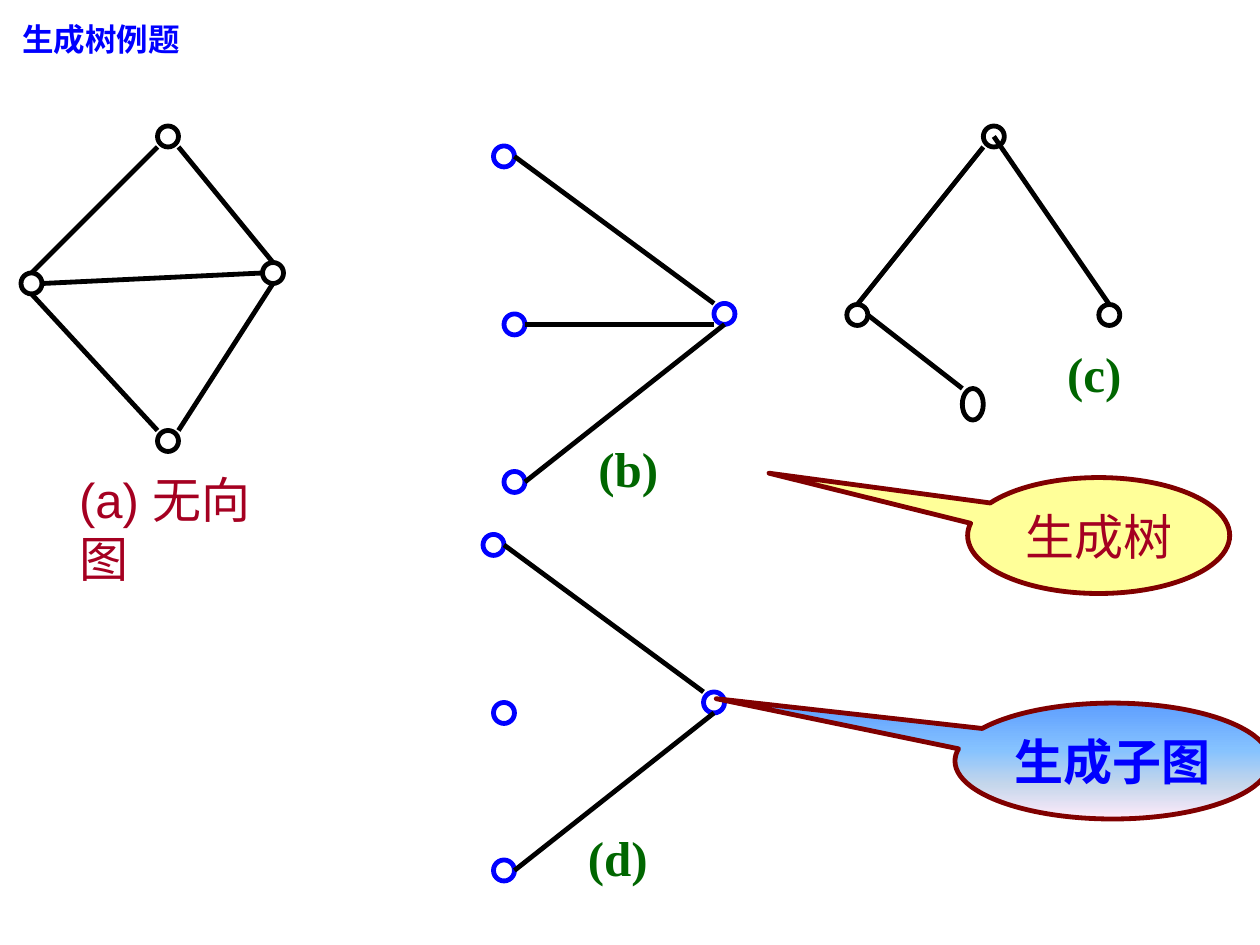
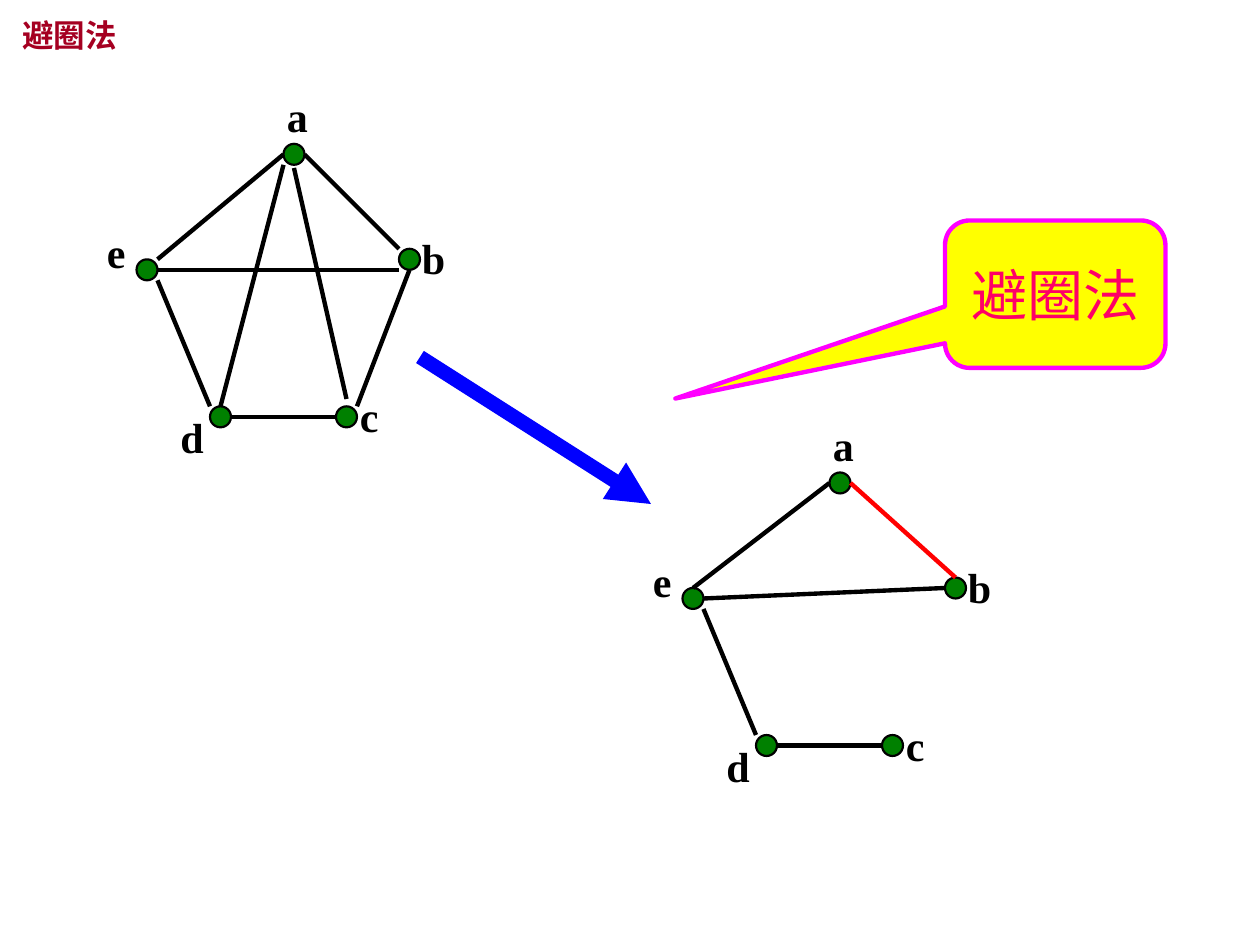
from lxml import etree
from pptx import Presentation
from pptx.dml.color import RGBColor
from pptx.enum.shapes import MSO_CONNECTOR, MSO_SHAPE
from pptx.enum.text import MSO_ANCHOR, PP_ALIGN
from pptx.oxml.ns import qn
from pptx.util import Inches, Pt

OVAL = MSO_SHAPE.OVAL
BUBBLE = MSO_SHAPE.OVAL_CALLOUT
BOX = MSO_SHAPE.ROUNDED_RECTANGULAR_CALLOUT
LINE = MSO_CONNECTOR.STRAIGHT
MID = MSO_ANCHOR.MIDDLE
CENTER = PP_ALIGN.CENTER

CELL = 1 / 12  # grid step in inches; a node has a radius of one step
SANS, SERIF, HAN = "Arial", "Times New Roman", "Noto Sans CJK SC"
COLORS = {
    "black": "000000", "blue": "0000FF", "red": "FF0000", "crimson": "A50021",
    "maroon": "800000", "forest": "006600", "green": "008000",
    "cream": "FFFF99", "yellow": "FFFF00", "magenta": "FF00FF",
    "pink": "FF0066",
}
SKY = [(0, "5E9EFF"), (40, "85C2FF"), (70, "C4D6EB"), (100, "FFEBFA")]
SIDES = {
    "c": (0, 0), "n": (0, -1), "s": (0, 1), "w": (-1, 0), "e": (1, 0),
    "nw": (-1, -1), "ne": (1, -1), "sw": (-1, 1), "se": (1, 1),
}

# Nodes: column and row from the graph's origin, and height factor if tall
KITE = {"T": (13, 0), "L": (0, 14), "R": (23, 13), "B": (13, 29)}
KITE_EDGES = "L.n-T.sw L.s-B.nw L.e-R.w T.se-R.n B.ne-R.s"
FAN = {"T": (0, 0), "M": (1, 16), "B": (1, 31), "R": (21, 15)}
FAN_EDGES = "T.e-R.nw B.e-R.s"
PATH = {"T": (13, 0), "L": (0, 17), "R": (24, 17), "B": (11, 25.5, 1.5)}
PATH_EDGES = "L.n-T.sw L.e-B.nw T.c-R.n"
PENTA = {"a": (0, 0), "b": (11, 10), "c": (5, 25), "d": (-7, 25),
         "e": (-14, 11)}
PENTA_EDGES = "e.ne-a.w e.se-d.nw d.e-c.w c.ne-b.s a.e-b.nw e.e-b.sw a.sw-d.n"
TREE_EDGES = "a.w-e.n e.e-b.w e.se-d.nw d.e-c.w"
# Letter boxes: shift from the node in steps, width in inches
LETTERS = {"a": (-1.85, -6.65, 0.36), "b": (0, -3.1, 0.42),
           "c": (0.1, -3.1, 0.74), "d": (-5, -1.05, 0.38),
           "e": (-5, -4.7, 0.35)}


def rgb(name):
    return RGBColor.from_string(COLORS[name])


def grid(*steps):
    return [Inches(step * CELL) for step in steps]


def write(frame, text, size, color, font, bold=False):
    frame.word_wrap = True
    par = frame.paragraphs[0]
    par.text = text
    par.font.size, par.font.bold, par.font.name = Pt(size), bold, font
    par.font.color.rgb = rgb(color)
    props = par._p.pPr.find(qn("a:defRPr"))
    props.find(qn("a:latin")).addnext(
        etree.Element(qn("a:ea"), typeface=HAN))
    return par


def label(slide, text, left, top, width, size, color, font, bold=True):
    box = slide.shapes.add_textbox(
        Inches(left), Inches(top), Inches(width), Inches(0.5))
    write(box.text_frame, text, size, color, font, bold)


def title(slide, text, top, color):
    label(slide, text, 0.08, top, 3, 18, color, HAN)


def line(slide, start, end, color, width, arrow=False):
    """Draw a straight line between two grid points."""
    link = slide.shapes.add_connector(LINE, *grid(*start, *end))
    link.line.color.rgb = rgb(color)
    link.line.width = Pt(width)
    props = link._element.spPr
    if arrow:
        etree.SubElement(props.find(qn("a:ln")), qn("a:tailEnd"),
                         type="triangle")
    etree.SubElement(props, qn("a:effectLst"))


def style(shape, fill, color, width):
    shape.shadow.inherit = False
    shape.line.color.rgb = rgb(color)
    shape.line.width = Pt(width)
    if fill is None:
        shape.fill.background()
    elif isinstance(fill, list):
        blend(shape, fill)
    else:
        shape.fill.solid()
        shape.fill.fore_color.rgb = rgb(fill)


def blend(shape, stops):
    """Fill from top to bottom with the given (percent, hex) stops."""
    shape.fill.gradient()
    shape.fill.gradient_angle = 270
    row = shape._element.spPr.find(".//" + qn("a:gsLst"))
    for old in list(row):
        row.remove(old)
    for share, tone in stops:
        stop = etree.SubElement(row, qn("a:gs"), pos=str(share * 1000))
        etree.SubElement(stop, qn("a:srgbClr"), val=tone)


def node(slide, col, row, tall, fill, color, width):
    dot = slide.shapes.add_shape(
        OVAL, *grid(col - 1, row - tall, 2, 2 * tall))
    style(dot, fill, color, width)


def edges(slide, origin, nodes, links, color, width):
    """Draw links such as 'L.n-T.sw': node and side at each end."""
    def spot(end):
        name, side = end.split(".")
        col, row, *tall = nodes[name]
        across, down = SIDES[side]
        return (origin[0] + col + across,
                origin[1] + row + down * (tall[0] if tall else 1))

    for link in links.split():
        start, end = link.split("-")
        line(slide, spot(start), spot(end), color, width)


def graph(slide, origin, nodes, links, color="black", fill=None, ring=2.75,
          width=2.75):
    for col, row, *tall in nodes.values():
        node(slide, origin[0] + col, origin[1] + row,
             tall[0] if tall else 1, fill, color, ring)
    edges(slide, origin, nodes, links, "black", width)


def penta(slide, origin, links):
    """Draw the five lettered nodes with their links."""
    graph(slide, origin, PENTA, links, fill="green", ring=1.25, width=2.5)
    for name, (across, down, width) in LETTERS.items():
        col, row = PENTA[name]
        label(slide, name, (origin[0] + col + across) * CELL,
              (origin[1] + row + down) * CELL, width, 24, "black", SERIF)


def fan(slide, origin, links, name):
    graph(slide, origin, FAN, links, color="blue")
    label(slide, name, (origin[0] + 7.8) * CELL, (origin[1] + 26.3) * CELL,
          0.69, 28, "forest", SERIF)


def callout(slide, kind, place, tip, fill, edge, width, text, *font):
    shape = slide.shapes.add_shape(kind, *map(Inches, place))
    for spot, value in enumerate(tip):
        shape.adjustments[spot] = value
    style(shape, fill, edge, width)
    shape.text_frame.vertical_anchor = MID
    write(shape.text_frame, text, *font).alignment = CENTER


def trees(slide):
    title(slide, "生成树例题", 0.11, "blue")
    graph(slide, (3, 13), KITE, KITE_EDGES)
    label(slide, "(a) 无向图", 0.53, 3.68, 1.9, 28, "crimson", SANS, False)
    fan(slide, (48, 14.9), FAN_EDGES + " M.e-R.sw", "(b)")
    graph(slide, (81.65, 13), PATH, PATH_EDGES)
    label(slide, "(c)", 8.37, 2.68, 0.65, 28, "forest", SERIF)
    fan(slide, (47, 51.9), FAN_EDGES, "(d)")
    tip = (-1.258, -0.538)
    callout(slide, BUBBLE, (7.68, 3.79, 2.08, 0.92), tip, "cream", "maroon",
            2.75, "生成树", 28, "crimson", SANS)
    callout(slide, BUBBLE, (7.58, 5.58, 2.5, 0.92), tip, SKY, "maroon",
            2.75, "生成子图", 28, "blue", HAN, True)


def cycles(slide):
    title(slide, "避圈法", 0.08, "crimson")
    penta(slide, (28, 14.7), PENTA_EDGES)
    line(slide, (28, 16), (33, 38), "black", 2.5)
    penta(slide, (80, 46), TREE_EDGES)
    edges(slide, (80, 46), PENTA, "a.e-b.n", "red", 2.5)
    line(slide, (40, 34), (62, 48), "blue", 8.25, arrow=True)
    callout(slide, BOX, (7.5, 1.75, 1.75, 1.17), (-1.723, 0.708, 0.167),
            "yellow", "magenta", 2.5, "避圈法", 32, "pink", SANS)


def main():
    deck = Presentation()
    deck.slide_width, deck.slide_height = Inches(10), Inches(7.5)
    for draw in (trees, cycles):
        draw(deck.slides.add_slide(deck.slide_layouts[6]))
    deck.save("out.pptx")


if __name__ == "__main__":
    main()
